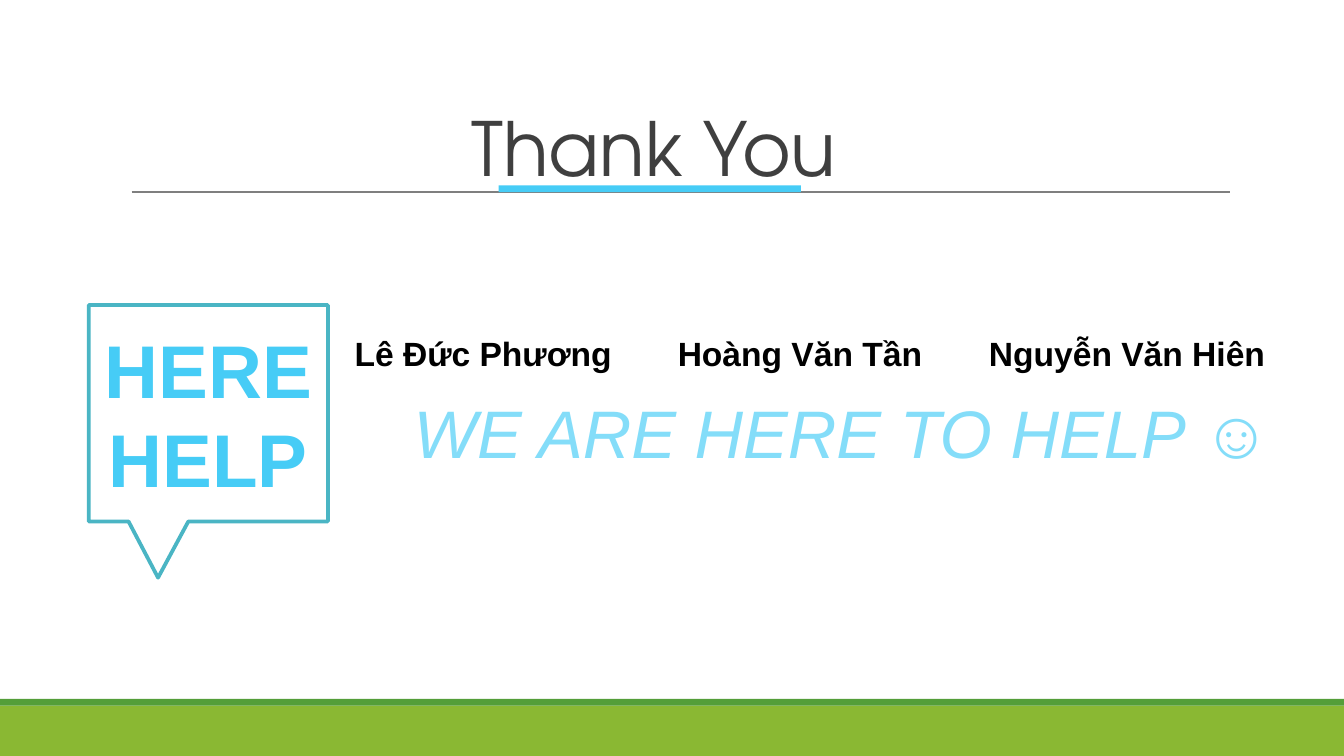
from pptx import Presentation
from pptx.dml.color import RGBColor
from pptx.enum.shapes import MSO_CONNECTOR, MSO_SHAPE
from pptx.enum.text import MSO_ANCHOR, MSO_AUTO_SIZE, PP_ALIGN
from pptx.oxml.ns import qn
from pptx.util import Inches, Pt
from lxml import etree

RECT, CALLOUT = MSO_SHAPE.RECTANGLE, MSO_SHAPE.RECTANGULAR_CALLOUT
STRAIGHT = MSO_CONNECTOR.STRAIGHT
MIDDLE, BOTTOM, TOP = MSO_ANCHOR.MIDDLE, MSO_ANCHOR.BOTTOM, MSO_ANCHOR.TOP
CENTER, LEFT = PP_ALIGN.CENTER, PP_ALIGN.LEFT
GROW = MSO_AUTO_SIZE.SHAPE_TO_FIT_TEXT

WHITE = RGBColor(0xFF, 0xFF, 0xFF)
BLACK = RGBColor(0, 0, 0)
LIME = RGBColor(0x8A, 0xB8, 0x33)
GREEN = RGBColor(0x54, 0x9E, 0x39)
GREY = RGBColor(0x7F, 0x7F, 0x7F)
CHARCOAL = RGBColor(0x3F, 0x3F, 0x3F)
SKY = RGBColor(0x46, 0xCC, 0xF6)
PALE_SKY = RGBColor(0x84, 0xDD, 0xF9)
TEAL = RGBColor(0x4A, 0xB5, 0xC4)

# Grid: 100 columns by 56.25 rows, square cells
COLS = 100
SLIDE_W, SLIDE_H = Inches(10), Inches(5.625)
CELL = SLIDE_W / COLS


def cells(*counts):
    return [round(count * CELL) for count in counts]


def inside(box, dx, dy, width, height):
    """Box in grid cells, offset from the corner of its region."""
    return box[0] + dx, box[1] + dy, width, height


def add_panel(slide, box, fill, outline=None, preset=RECT):
    panel = slide.shapes.add_shape(preset, *cells(*box))
    panel.shadow.inherit = False
    panel.fill.solid()
    panel.fill.fore_color.rgb = fill
    if outline:
        panel.line.color.rgb = outline
        panel.line.width = Pt(2)
        etree.SubElement(panel.line._get_or_add_ln(), qn("a:round"))
    else:
        panel.line.fill.background()
    return panel


def write(shape, words, size, color, font="Arial", bold=False, italic=False,
          align=LEFT, anchor=TOP, wrap=True):
    frame = shape.text_frame
    frame.word_wrap = wrap
    frame.vertical_anchor = anchor
    frame.text = words
    paragraph = frame.paragraphs[0]
    paragraph.alignment = align
    style = paragraph.runs[0].font
    style.name, style.size, style.color.rgb = font, Pt(size), color
    style.bold, style.italic = bold, italic
    return frame


def add_text(slide, box, words, size, color, **style):
    return write(slide.shapes.add_textbox(*cells(*box)), words, size, color, **style)


def draw_footer(slide, box):
    _, _, width, height = box
    edge = 0.5
    add_panel(slide, inside(box, 0, edge, width, height - edge), LIME)
    add_panel(slide, inside(box, 0, 0, width, edge), GREEN)


def draw_heading(slide, box):
    left, top, width, height = box
    # Thin rule along the bottom of the region
    rule = slide.shapes.add_connector(
        STRAIGHT, *cells(left, top + height, left + width, top + height))
    rule.line.color.rgb = GREY
    rule.line.width = Pt(0.75)
    etree.SubElement(rule._element.spPr, qn("a:effectLst"))
    # Title and its accent bar
    title = add_text(slide, inside(box, 24.3, 0, 89.9, 9.9), "Thank You", 40, CHARCOAL,
                     font="TeX Gyre Adventor", anchor=BOTTOM)
    title.margin_left = title.margin_right = Inches(0.1)
    title.margin_top = title.margin_bottom = Inches(0.1)
    title.paragraphs[0].line_spacing = 0.85
    add_panel(slide, inside(box, 27.3, height - 0.5, 22.5, 0.5), SKY)


def draw_callout(slide, box):
    bubble = add_panel(slide, box, WHITE, TEAL, CALLOUT)
    bubble.adjustments[0] = -0.21
    bubble.adjustments[1] = 0.76
    write(bubble, "HERE HELP", 40, SKY, bold=True, align=CENTER, anchor=MIDDLE)


def draw_team(slide, box):
    # Members in a row, an equal gap between them
    gap = 2.75
    dx = 0
    for member, width in (("Lê Đức Phương", 21.3), ("Hoàng Văn Tần", 20.4),
                          ("Nguyễn Văn Hiên", 22.8)):
        name = add_text(slide, inside(box, dx, 0, width, 4), member, 18, BLACK,
                        bold=True, wrap=False)
        name.auto_size = GROW
        dx += width + gap
    # Motto under the names
    motto = add_text(slide, inside(box, 4.4, 4.3, 85.8, 7.1), "WE ARE HERE TO HELP ☺",
                     36, PALE_SKY, italic=True)
    motto.auto_size = GROW


deck = Presentation()
deck.slide_width, deck.slide_height = SLIDE_W, SLIDE_H
closing = deck.slides.add_slide(deck.slide_layouts[6])

draw_footer(closing, (0, 52, COLS, 4.25))
draw_heading(closing, (9.8, 5.4, 81.7, 8.9))
draw_callout(closing, (6.6, 22.7, 17.8, 16.1))
draw_team(closing, (25.4, 24.3, 70, 11.4))

deck.save("out.pptx")
